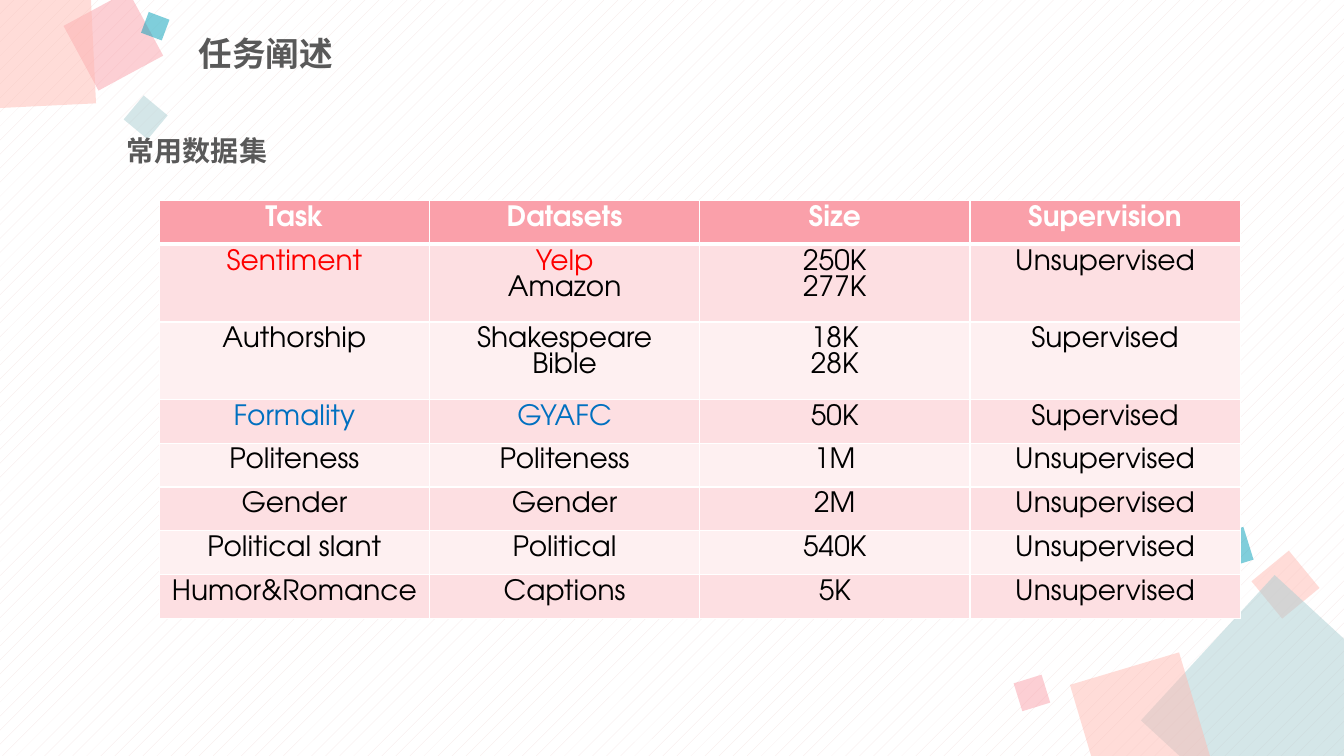
from dataclasses import dataclass

from lxml.etree import SubElement
from pptx import Presentation
from pptx.dml.color import RGBColor
from pptx.enum.dml import MSO_PATTERN
from pptx.enum.shapes import MSO_SHAPE
from pptx.enum.text import MSO_ANCHOR, PP_ALIGN
from pptx.oxml.ns import qn
from pptx.util import Inches, Pt


@dataclass(frozen=True)
class Theme:
    peach: str = "FFBBB3"
    pink: str = "FAA0AA"
    mist: str = "AACED2"
    teal: str = "009FB8"
    dots: str = "F5E5E4"
    white: str = "FFFFFF"
    gray: str = "595959"
    black: str = "000000"
    red: str = "FE0000"
    blue: str = "0070C0"
    bands: tuple = ("FDDFE2", "FEF0F1")
    title: int = 24
    body: int = 20
    cjk: str = "Noto Sans CJK SC"
    head: str = "League Spartan"
    grid: str = "TeX Gyre Adventor"


THEME = Theme()

# Left, top, side, rotation, colour
SQUARES = [
    (12.51, 5.56, 0.48, 320.6, THEME.peach),
    (11.72, 6.11, 1.96, 42.6, THEME.mist),
    (10.75, 6.61, 1.13, 343.4, THEME.peach),
    (10.09, 6.73, 0.29, 342.8, THEME.pink),
    (12.05, 5.27, 0.34, 342.8, THEME.teal),
    (0.76, 0.04, 0.73, 331.6, THEME.pink),
    (-0.46, -0.32, 1.38, 357.2, THEME.peach),
    (1.29, 1.01, 0.31, 309.8, THEME.mist),
    (1.43, 0.15, 0.22, 290.5, THEME.teal),
]

ROWS = [
    ("Task", "Datasets", "Size", "Supervision"),
    ("Sentiment", "Yelp\nAmazon", "250K\n277K", "Unsupervised"),
    ("Authorship", "Shakespeare\nBible", "18K\n28K", "Supervised"),
    ("Formality", "GYAFC", "50K", "Supervised"),
    ("Politeness", "Politeness", "1M", "Unsupervised"),
    ("Gender", "Gender", "2M", "Unsupervised"),
    ("Political slant", "Political", "540K", "Unsupervised"),
    ("Humor&Romance", "Captions", "5K", "Unsupervised"),
]

ACCENTS = {
    "Sentiment": THEME.red,
    "Yelp": THEME.red,
    "Formality": THEME.blue,
    "GYAFC": THEME.blue,
}


def rgb(color):
    return RGBColor.from_string(color)


def set_font(para, name, size, color, bold):
    font = para.font
    font.name, font.size, font.bold = name, Pt(size), bold
    font.color.rgb = rgb(color)


def add_square(slide, left, top, side, turn, color):
    square = slide.shapes.add_shape(
        MSO_SHAPE.RECTANGLE, Inches(left), Inches(top), Inches(side), Inches(side))
    square.rotation = turn
    square.shadow.inherit = False
    square.line.fill.background()
    square.fill.solid()
    square.fill.fore_color.rgb = rgb(color)
    # Half transparent
    tint = square.fill._xPr.find(".//" + qn("a:srgbClr"))
    SubElement(tint, qn("a:alpha"), val="50000")


def add_label(slide, text, place, name, size, space, wrap, anchor):
    box = slide.shapes.add_textbox(*(Inches(n) for n in place))
    frame = box.text_frame
    frame.word_wrap = wrap
    frame.vertical_anchor = anchor
    para = frame.paragraphs[0]
    para.text = text
    para.line_spacing = space
    set_font(para, name, size, THEME.gray, True)
    # East Asian typeface
    props = para._p.pPr.find(qn("a:defRPr"))
    SubElement(props, qn("a:ea"), typeface=THEME.cjk)


def set_border(cell, side, width):
    props = cell._tc.get_or_add_tcPr()
    line = SubElement(props, qn("a:" + side), w=str(Pt(width)))
    fill = SubElement(line, qn("a:solidFill"))
    SubElement(fill, qn("a:srgbClr"), val=THEME.white)


def fill_cell(cell, text, row):
    header = row == 0
    cell.text = text
    for para in cell.text_frame.paragraphs:
        para.alignment = PP_ALIGN.CENTER
        color = THEME.white if header else ACCENTS.get(para.text, THEME.black)
        set_font(para, THEME.grid, THEME.body, color, header)
    for side in ("lnL", "lnR", "lnT", "lnB"):
        thick = (row, side) in ((0, "lnB"), (1, "lnT"))
        set_border(cell, side, 3 if thick else 1)
    cell.fill.solid()
    cell.fill.fore_color.rgb = rgb(THEME.pink if header else THEME.bands[(row - 1) % 2])


def add_grid(slide, left, top, width, height):
    frame = slide.shapes.add_table(
        len(ROWS), len(ROWS[0]), Inches(left), Inches(top), Inches(width), Inches(height))
    table = frame.table
    for row, texts in enumerate(ROWS):
        table.rows[row].height = Inches(0.77 if "\n" in texts[1] else 0.43)
        for col, text in enumerate(texts):
            fill_cell(table.cell(row, col), text, row)


def main():
    deck = Presentation()
    deck.slide_width, deck.slide_height = Inches(13.33), Inches(7.5)
    slide = deck.slides.add_slide(deck.slide_layouts[6])

    # Backdrop
    fill = slide.background.fill
    fill.patterned()
    fill.pattern = MSO_PATTERN.PERCENT_5
    fill.fore_color.rgb = rgb(THEME.dots)
    fill.back_color.rgb = rgb(THEME.white)
    for square in SQUARES:
        add_square(slide, *square)

    # Headings
    add_label(slide, "任务阐述", (1.87, 0.26, 6.13, 0.58),
              THEME.cjk, THEME.title, 0.9, True, MSO_ANCHOR.MIDDLE)
    add_label(slide, "常用数据集", (1.16, 1.17, 1.6, 0.49),
              THEME.head, THEME.body, 1.3, False, MSO_ANCHOR.TOP)

    # Dataset table
    add_grid(slide, 1.58, 1.99, 10.72, 4.13)

    deck.save("out.pptx")


if __name__ == "__main__":
    main()
